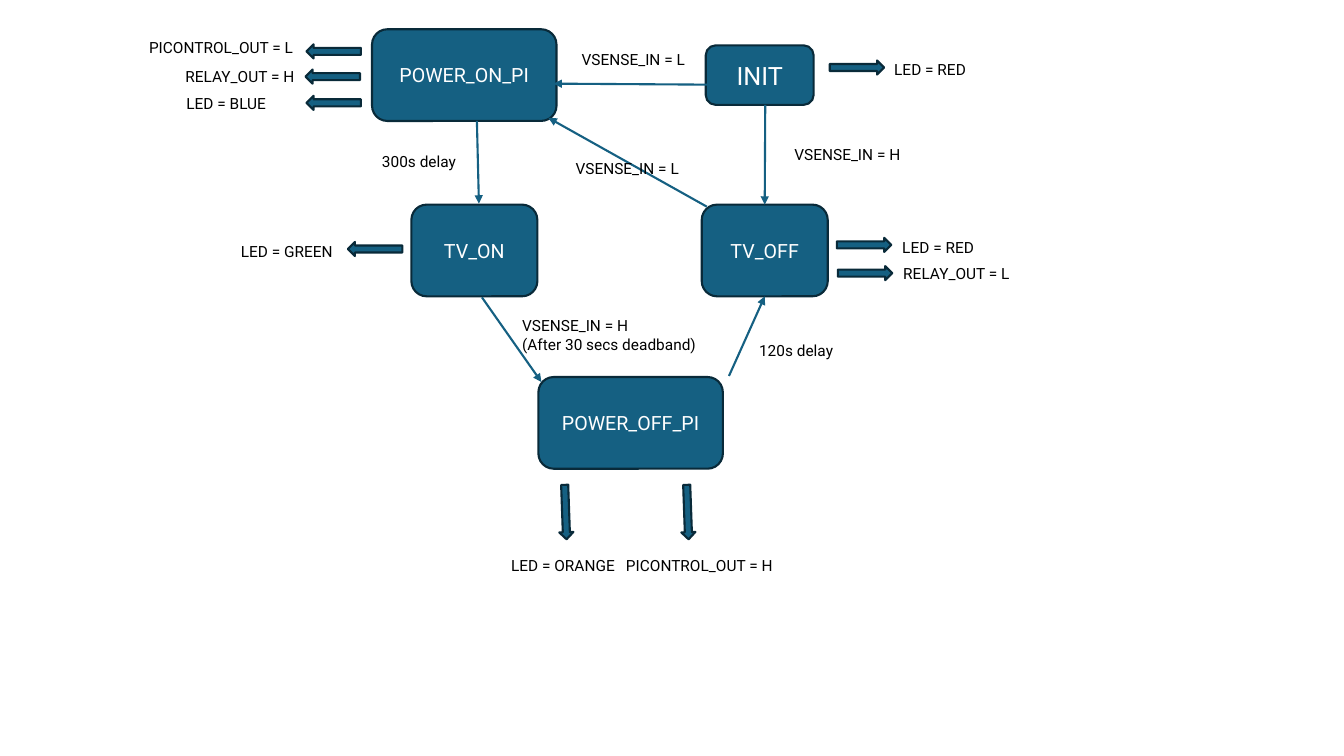
from pptx import Presentation
from pptx.dml.color import RGBColor
from pptx.enum.shapes import MSO_CONNECTOR as Link, MSO_SHAPE as Shape
from pptx.enum.text import MSO_ANCHOR as Anchor, MSO_AUTO_SIZE as Fit, PP_ALIGN as Align
from pptx.oxml.ns import qn
from pptx.util import Inches, Pt
from lxml.etree import SubElement

# Grid: 1333 columns by 750 rows, each cell a hundredth of an inch
COLS, ROWS = 1333, 750
CELL = Inches(0.01)
FONT = "Roboto"
TEAL, DARK, WHITE, BLACK = "156082", "092A39", "FFFFFF", "000000"
WIDE, SLIM, TALL = 183, 125, 91
ARROW = (54, 14)
LEFT, RIGHT, DOWN = 180, 0, 88

# name: column, row, columns, rows, text size
STATES = {
    "INIT": (700, 45, 107, 59, 18),
    "POWER_ON_PI": (369, 29, WIDE, TALL, 14),
    "TV_ON": (408, 203, SLIM, TALL, 14),
    "POWER_OFF_PI": (534, 374, WIDE, TALL, 14),
    "TV_OFF": (696, 203, SLIM, TALL, 14),
}

# start, end, joined state and side at the end
MOVES = [
    ((473, 120), (475, 202), None),
    ((703, 84), (549, 83), None),
    ((759, 104), (761, 202), ("TV_OFF", 0)),
    ((478, 295), (537, 379), None),
    ((723, 373), (762, 293), ("TV_OFF", 2)),
    ((701, 205), (544, 117), None),
]

# lines, column, row, columns
CAUSES = [
    (["VSENSE_IN = L"], 567, 45, 129),
    (["VSENSE_IN = H"], 778, 139, 129),
    (["VSENSE_IN = L"], 561, 153, 129),
    (["VSENSE_IN = H", "(After 30 secs deadband)"], 508, 309, 219),
    (["120s delay"], 743, 333, 99),
    (["300s delay"], 369, 146, 99),
]

# text, label column, row and columns, arrow column and row, turn
OUTPUTS = [
    ("PICONTROL_OUT = L", 138, 33, 183, 304, 44, LEFT),
    ("RELAY_OUT = H", 174, 62, 129, 303, 69, LEFT),
    ("LED = BLUE", 175, 88, 129, 304, 95, LEFT),
    ("LED = RED", 877, 55, 129, 823, 60, RIGHT),
    ("LED = RED", 885, 231, 129, 830, 236, RIGHT),
    ("RELAY_OUT = L", 886, 257, 129, 831, 264, RIGHT),
    ("LED = GREEN", 229, 235, 129, 345, 240, LEFT),
    ("LED = ORANGE", 497, 547, 129, 534, 501, DOWN),
    ("PICONTROL_OUT = H", 611, 547, 183, 655, 501, DOWN),
]


def rgb(code):
    return RGBColor.from_string(code)


def cells(*counts):
    return [n * CELL for n in counts]


def write(frame, lines, size, color, align):
    frame.word_wrap = True
    for i, line in enumerate(lines):
        para = frame.add_paragraph() if i else frame.paragraphs[0]
        para.alignment = align
        run = para.add_run()
        run.text = line
        run.font.name, run.font.size = FONT, Pt(size)
        run.font.color.rgb = rgb(color)


def block(kind, *place):
    """Add a teal shape with a dark outline."""
    shape = slide.shapes.add_shape(kind, *cells(*place))
    shape.shadow.inherit = False
    shape.fill.solid()
    shape.fill.fore_color.rgb = rgb(TEAL)
    shape.line.color.rgb = rgb(DARK)
    shape.line.width = Pt(1.5)
    return shape


def state(name, col, row, width, height, size):
    box = block(Shape.ROUNDED_RECTANGLE, col, row, width, height)
    box.text_frame.vertical_anchor = Anchor.MIDDLE
    write(box.text_frame, [name], size, WHITE, Align.CENTER)
    return box


def move(start, end, joint):
    line = slide.shapes.add_connector(Link.STRAIGHT, *cells(*start, *end))
    if joint:
        name, side = joint
        line.end_connect(boxes[name], side)
    line.line.color.rgb = rgb(TEAL)
    line.line.width = Pt(1.5)
    SubElement(line.line._get_or_add_ln(), qn("a:tailEnd"), type="triangle")
    SubElement(line._element.spPr, qn("a:effectLst"))


def label(lines, col, row, width):
    height = 11 + 18 * len(lines)
    box = slide.shapes.add_textbox(*cells(col, row, width, height))
    write(box.text_frame, lines, 11, BLACK, Align.LEFT)
    box.text_frame.auto_size = Fit.SHAPE_TO_FIT_TEXT


deck = Presentation()
deck.slide_width, deck.slide_height = cells(COLS, ROWS)
slide = deck.slides.add_slide(deck.slide_layouts[6])

boxes = {name: state(name, *place) for name, place in STATES.items()}
for step in MOVES:
    move(*step)
for cause in CAUSES:
    label(*cause)
for text, col, row, width, left, top, turn in OUTPUTS:
    block(Shape.RIGHT_ARROW, left, top, *ARROW).rotation = turn
    label([text], col, row, width)

deck.save("out.pptx")
